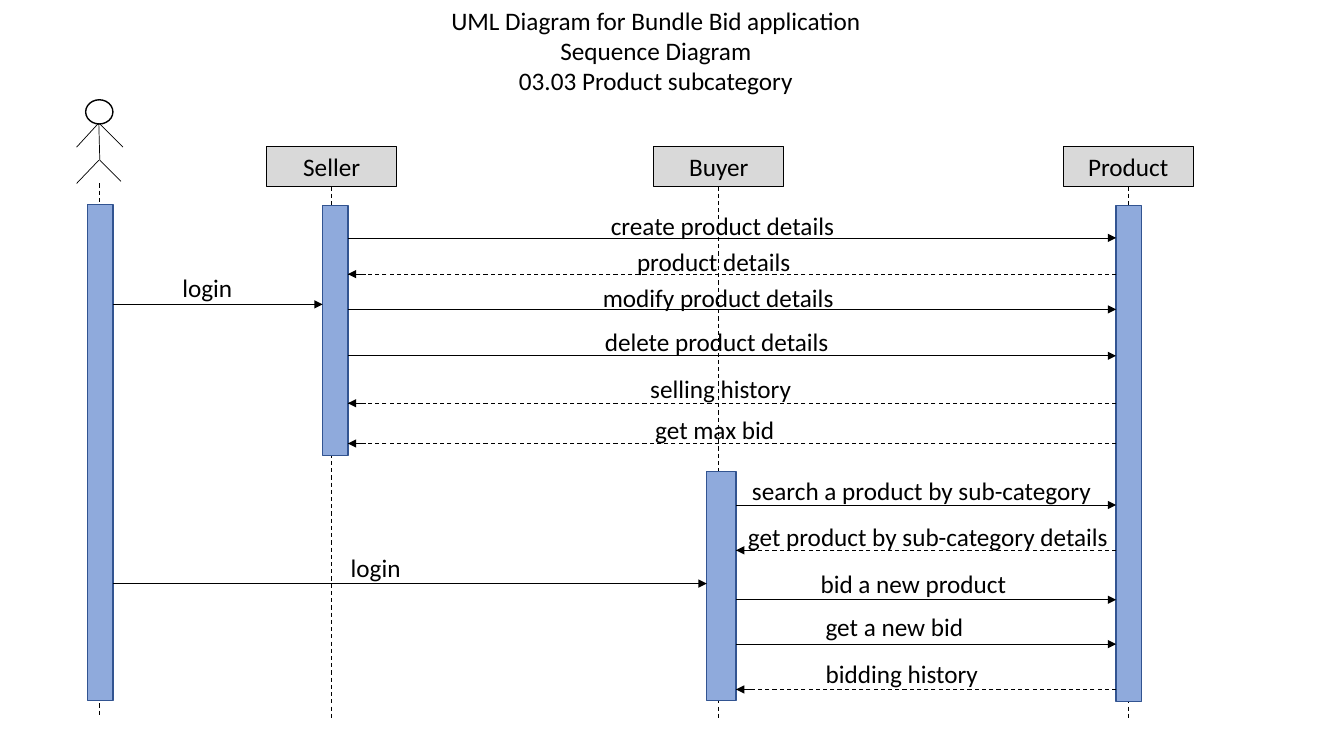
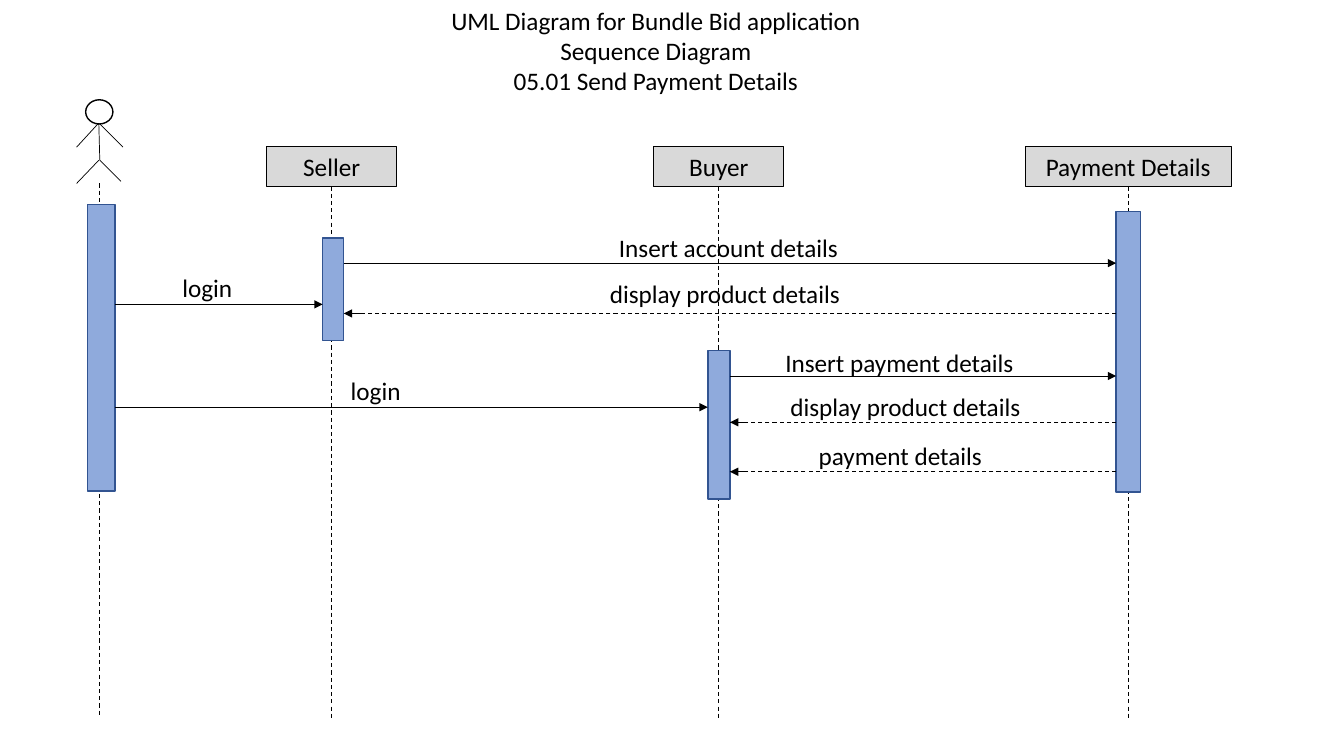
from lxml import etree
from pptx import Presentation
from pptx import util as u
from pptx.dml.color import RGBColor
from pptx.enum import dml, shapes, text
from pptx.oxml import ns

# Content. Bars: left, top, width, height.
# Messages: label, label left, top, width, sender, receiver, arrow height.
# A message that leaves the last lane is a dashed reply.
HEADING = ["UML Diagram for Bundle Bid application", "Sequence Diagram"]
USER, SELLER, BUYER, TARGET = range(4)
LANES = [0.99, 3.29, 7.13, 11.19]

DIAGRAMS = [
    {
        "topic": "03.03 Product subcategory",
        "target": ("Product", 1.29),
        "bars": [(0.87, 2.03, 0.25, 4.92), (3.2, 2.04, 0.25, 2.48),
                 (7.01, 4.68, 0.29, 2.27), (11.07, 2.04, 0.25, 4.92)],
        "messages": [
            ("login", 1.71, 2.65, 1.71, USER, SELLER, 3.02),
            ("login", 3.38, 5.43, 1.71, USER, BUYER, 5.79),
            ("create product details", 5.96, 2.04, 2.51, SELLER, TARGET, 2.36),
            ("product details", 6.22, 2.39, 2.23, TARGET, SELLER, 2.72),
            ("modify product details", 5.88, 2.75, 2.51, SELLER, TARGET, 3.07),
            ("delete product details", 5.9, 3.19, 2.51, SELLER, TARGET, 3.53),
            ("selling history", 6.35, 3.65, 2.51, TARGET, SELLER, 4),
            ("get max bid", 6.4, 4.06, 2.51, TARGET, SELLER, 4.4),
            ("search a product by sub-category", 7.36, 4.67, 3.59, BUYER, TARGET, 5.01),
            ("get product by sub-category details", 7.32, 5.12, 3.81, TARGET, BUYER, 5.46),
            ("bid a new product", 8.04, 5.59, 2.51, BUYER, TARGET, 5.95),
            ("get a new bid", 8.09, 6.02, 2.51, BUYER, TARGET, 6.39),
            ("bidding history", 8.09, 6.48, 2.51, TARGET, BUYER, 6.84),
        ],
    },
    {
        "topic": "05.01 Send Payment Details",
        "target": ("Payment Details", 2.04),
        "bars": [(0.87, 2.03, 0.27, 2.84), (3.2, 2.36, 0.21, 1.02),
                 (7.02, 3.48, 0.22, 1.47), (11.07, 2.1, 0.24, 2.78)],
        "messages": [
            ("login", 1.71, 2.65, 1.71, USER, SELLER, 3.02),
            ("login", 3.38, 3.67, 1.71, USER, BUYER, 4.04),
            ("Insert account details", 6.04, 2.26, 3.23, SELLER, TARGET, 2.61),
            ("display product details", 5.95, 2.71, 2.51, TARGET, SELLER, 3.11),
            ("Insert payment details", 7.69, 3.4, 3.43, BUYER, TARGET, 3.73),
            ("display product details", 7.74, 3.83, 3.41, TARGET, BUYER, 4.19),
            ("payment details", 8.02, 4.32, 2.51, TARGET, BUYER, 4.68),
        ],
    },
]

# Shared style
BLACK, WHITE, GREY, BLUE, NAVY = "000000", "FFFFFF", "D9D9D9", "8FAADC", "325491"
FONT = {"name": "Calibri", "size": u.Pt(18), "bold": False}
THIN, DASHED = 0.5, 0.75
HEAD_TOP, HEAD_WIDTH, ROW = 1.45, 1.29, 0.4
LIFELINE = 5.29
TIP = 0.18
LIMBS = [((0.98, 1.22), (0.99, 1.59)),
         ((0.76, 1.46), (0.98, 1.22)), ((1.22, 1.46), (0.98, 1.22)),
         ((0.98, 1.59), (0.76, 1.82)), ((0.99, 1.59), (1.2, 1.8))]


def colour(value):
    return RGBColor.from_string(value)


def inches(*lengths):
    return [u.Inches(length) for length in lengths]


def write(box, lines, align, anchor=text.MSO_ANCHOR.TOP):
    frame = box.text_frame
    frame.text = "\n".join(lines)
    settings = {"word_wrap": True, "auto_size": text.MSO_AUTO_SIZE.NONE,
                "vertical_anchor": anchor}
    for name, value in settings.items():
        setattr(frame, name, value)
    for para in frame.paragraphs:
        para.alignment = align
        for span in para.runs:
            for name, value in FONT.items():
                setattr(span.font, name, value)
            span.font.color.rgb = colour(BLACK)


def draw_shape(page, kind, place, fill, line, width):
    shape = page.shapes.add_shape(kind, *inches(*place))
    shape.shadow.inherit = False
    shape.fill.solid()
    shape.fill.fore_color.rgb = colour(fill)
    shape.line.color.rgb = colour(line)
    shape.line.width = u.Pt(width)
    return shape


def draw_line(page, start, end, width=THIN, dash=False, arrow=False):
    line = page.shapes.add_connector(shapes.MSO_CONNECTOR.STRAIGHT, *inches(*start, *end))
    line.line.color.rgb = colour(BLACK)
    line.line.width = u.Pt(width)
    if dash:
        line.line.dash_style = dml.MSO_LINE.DASH
    if arrow:
        etree.SubElement(line.line._get_or_add_ln(), ns.qn("a:tailEnd"), type="triangle")
    etree.SubElement(line._element.spPr, ns.qn("a:effectLst"))


def draw_actor(page):
    for start, end in LIMBS:
        draw_line(page, start, end)
    draw_shape(page, shapes.MSO_SHAPE.OVAL, (0.85, 0.99, 0.27, 0.24), WHITE, BLACK, 1)


def draw_lanes(page, target, bars):
    heads = [("Seller", HEAD_WIDTH), ("Buyer", HEAD_WIDTH), target]
    for (label, width), centre in zip(heads, LANES[1:]):
        place = (centre - width / 2, HEAD_TOP, width, ROW)
        head = draw_shape(page, shapes.MSO_SHAPE.RECTANGLE, place, GREY, BLACK, 0.75)
        write(head, [label], text.PP_ALIGN.CENTER, text.MSO_ANCHOR.MIDDLE)
    for lane, centre in enumerate(LANES):
        top = 1.82 if lane == USER else HEAD_TOP + ROW
        draw_line(page, (centre, top), (centre, top + LIFELINE), DASHED, dash=True)
    for bar in bars:
        draw_shape(page, shapes.MSO_SHAPE.RECTANGLE, bar, BLUE, NAVY, 1)


def draw_message(page, bars, message):
    label, left, top, width, sender, receiver, y = message
    # Arrows run between the facing edges of two bars
    first, last = bars[min(sender, receiver)], bars[max(sender, receiver)]
    near, far = first[0] + first[2], last[0]
    if sender == TARGET:
        draw_line(page, (far, y), (near, y), DASHED, dash=True)
        draw_line(page, (near + TIP, y), (near, y), arrow=True)
    else:
        draw_line(page, (near, y), (far, y), arrow=True)
    box = page.shapes.add_textbox(*inches(left, top, width, ROW))
    write(box, [label], text.PP_ALIGN.LEFT)


# Build the deck
deck = Presentation()
deck.slide_width, deck.slide_height = inches(13.33, 7.5)
for diagram in DIAGRAMS:
    page = deck.slides.add_slide(deck.slide_layouts[5])
    title = page.shapes.title
    title.left, title.top, title.width, title.height = inches(3.17, 0, 6.67, 1.01)
    write(title, HEADING + [diagram["topic"]], text.PP_ALIGN.CENTER)
    draw_actor(page)
    draw_lanes(page, diagram["target"], diagram["bars"])
    for message in diagram["messages"]:
        draw_message(page, diagram["bars"], message)
deck.save("out.pptx")
